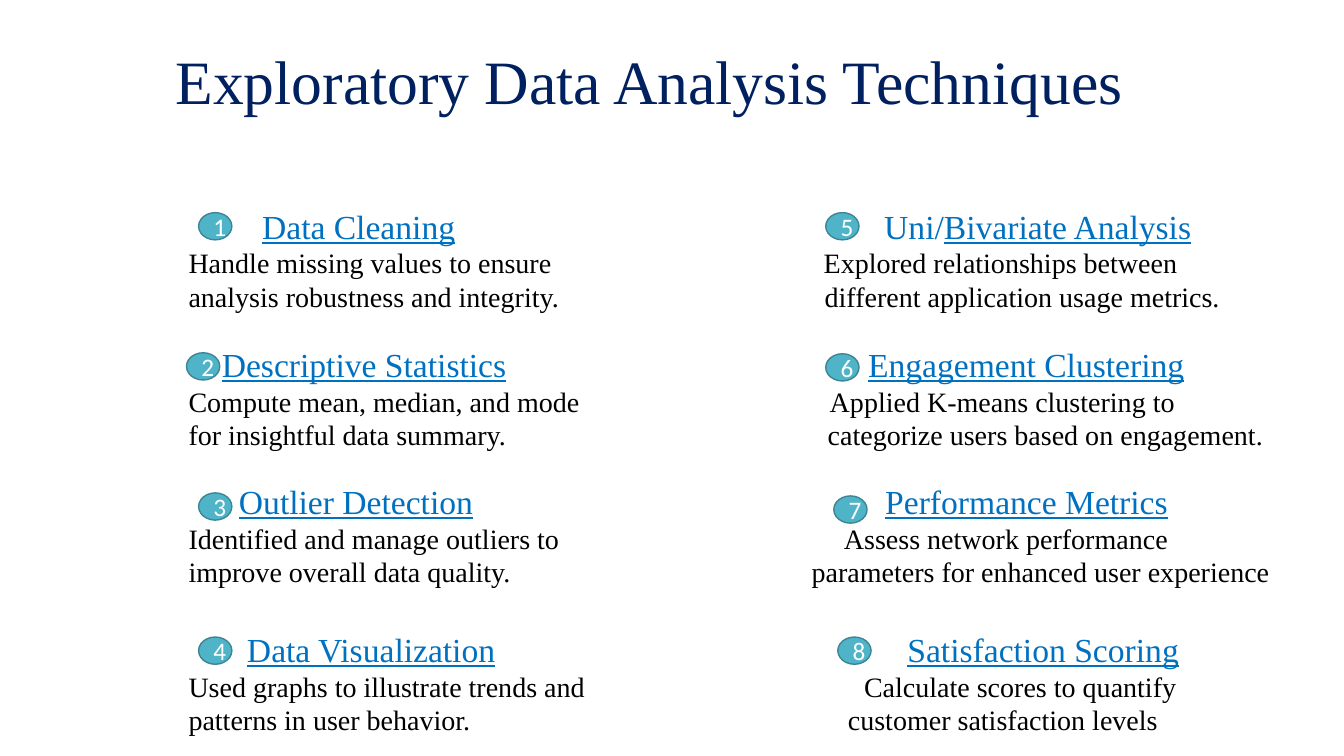
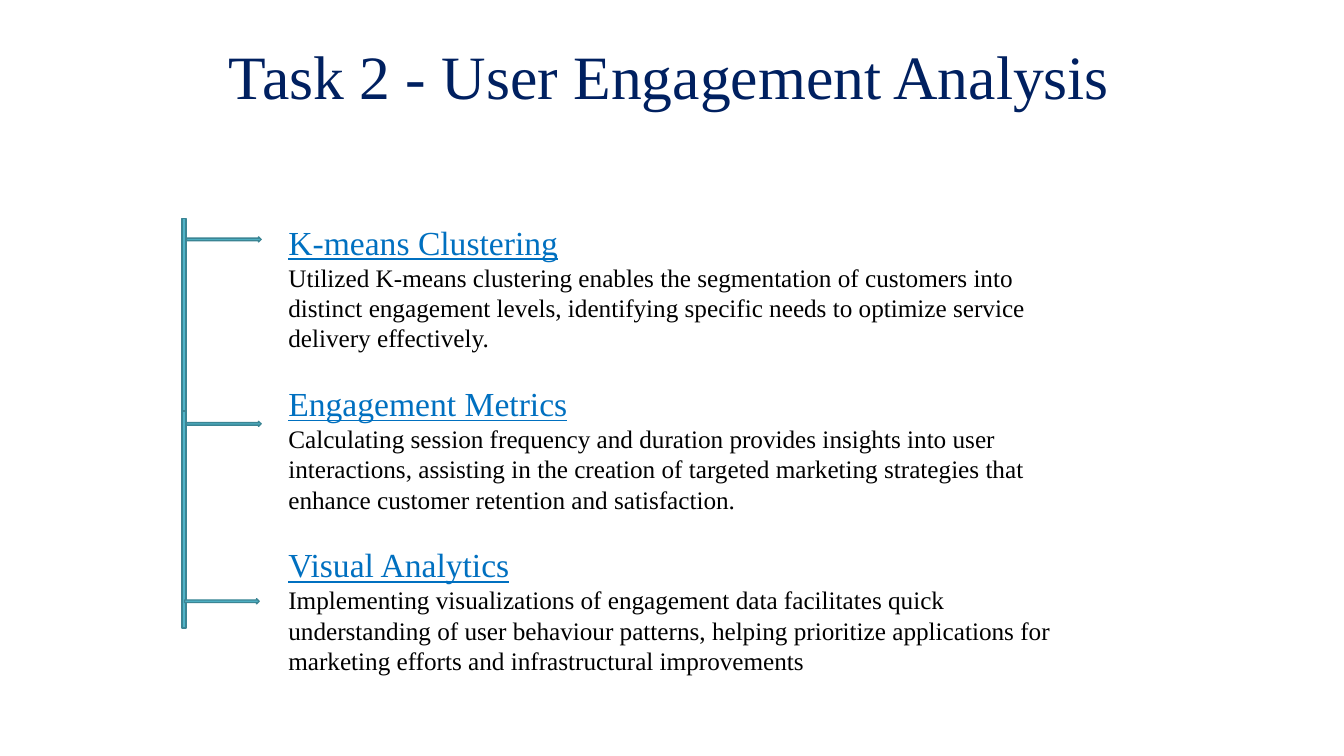
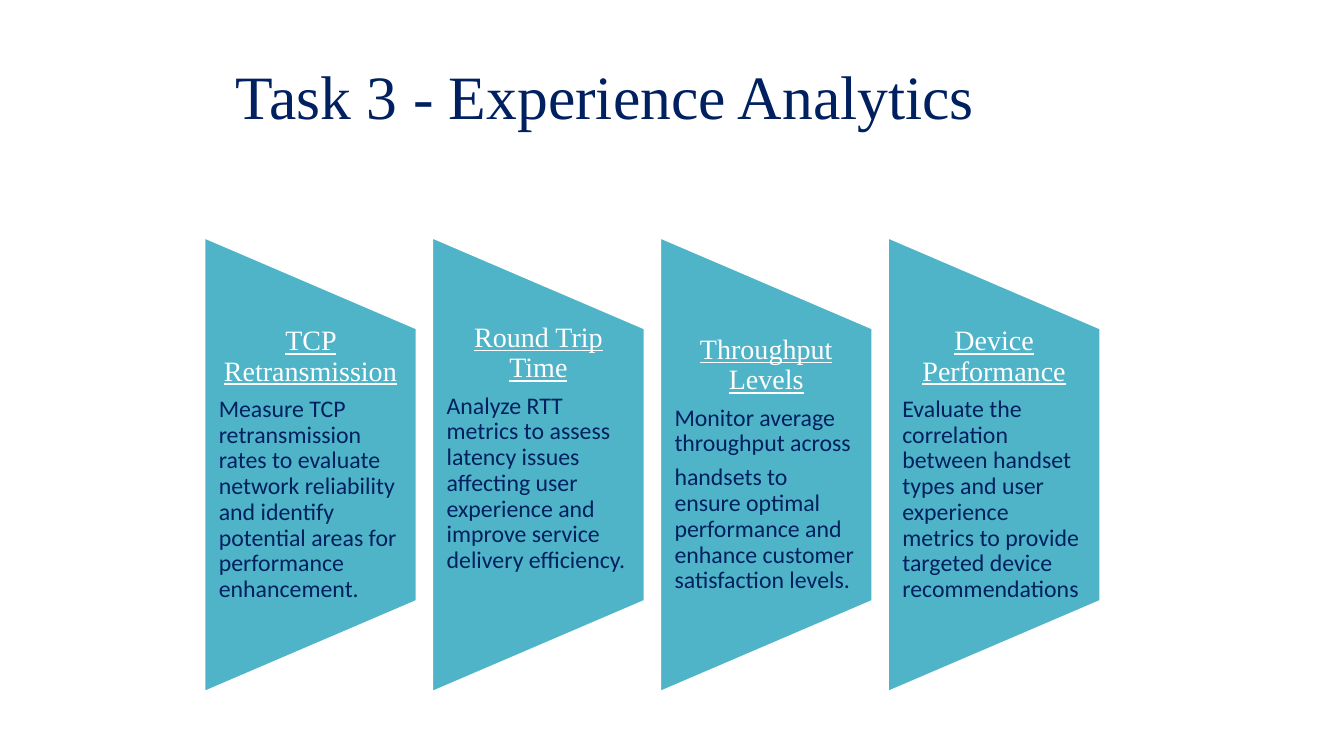
from pptx import Presentation
from pptx.dml.color import RGBColor
from pptx.enum import shapes, text
from pptx.util import Inches, Pt

COLORS = {"navy": "002060", "blue": "0070C0", "teal": "50B4C8",
          "dark_teal": "3B8594", "black": "000000", "white": "FFFFFF"}
SERIF, SANS = "Times New Roman", "Calibri"
SHAPE, ALIGN, ANCHOR = shapes.MSO_SHAPE, text.PP_ALIGN, text.MSO_ANCHOR

TITLE = dict(name=SERIF, size=44, color="navy")
HEADING = dict(name=SERIF, size=24, color="blue", underline=True)
DETAIL = dict(name=SERIF, size=20, color="black")
SMALL_DETAIL = dict(DETAIL, size=18)
BADGE = dict(name=SANS, size=18, color="white")
PANEL_HEADING = dict(name=SERIF, size=20, color="white", underline=True)
PANEL_DETAIL = dict(name=SANS, size=17, color="navy")

# Each topic: badge position, plain start of the heading, heading, detail lines,
# and the indents of heading and lines
LEFT_TOPICS = [
    ((1.97, 2.11), "", "Data Cleaning",
     ["Handle missing values to ensure", "analysis robustness and integrity."],
     (0.73, 0, 0)),
    ((1.85, 3.5), "", "Descriptive Statistics",
     ["Compute mean, median, and mode", "for insightful data summary."],
     (0.33, 0, 0)),
    ((1.97, 4.89), "", "Outlier Detection",
     ["Identified and manage outliers to", "improve overall data quality."],
     (0.5, 0, 0)),
    ((1.97, 6.32), "", "Data Visualization",
     ["Used graphs to illustrate trends and", "patterns in user behavior."],
     (0.58, 0, 0)),
]
RIGHT_TOPICS = [
    ((8.19, 2.11), "Uni/", "Bivariate Analysis",
     ["Explored relationships between", "different application usage metrics."],
     (0.72, 0.12, 0.13)),
    ((8.19, 3.51), "", "Engagement Clustering",
     ["Applied K-means clustering to", "categorize users based on engagement."],
     (0.56, 0.18, 0.16)),
    ((8.27, 4.92), "", "Performance Metrics",
     ["Assess network performance", "parameters for enhanced user experience"],
     (0.73, 0.32, 0)),
    ((8.31, 6.32), "", "Satisfaction Scoring",
     ["Calculate scores to quantify", "customer satisfaction levels"],
     (0.95, 0.52, 0.36)),
]
TOPIC_COLUMNS = [(1.87, LEFT_TOPICS), (8.05, RIGHT_TOPICS)]
TOPIC_TOPS = [2.04, 3.41, 4.77, 6.24]

ENGAGEMENT = [
    ("K-means Clustering",
     ["Utilized K-means clustering enables the segmentation of customers into",
      "distinct engagement levels, identifying specific needs to optimize service",
      "delivery effectively."]),
    ("Engagement Metrics",
     ["Calculating session frequency and duration provides insights into user",
      "interactions, assisting in the creation of targeted marketing strategies that",
      "enhance customer retention and satisfaction."]),
    ("Visual Analytics",
     ["Implementing visualizations of engagement data facilitates quick",
      "understanding of user behaviour patterns, helping prioritize applications for",
      "marketing efforts and infrastructural improvements"]),
]
BAR_TOPS = [-1.33, 0.58]
ARROWS = [(1.85, 2.35), (1.85, 4.18), (1.83, 5.94)]

# Each panel: heading, detail paragraphs, bottom inset
PANELS = [
    ("TCP Retransmission",
     ["Measure TCP retransmission rates to evaluate network reliability and "
      "identify potential areas for performance enhancement."], 0),
    ("Round Trip Time",
     ["Analyze RTT metrics to assess latency issues affecting user experience "
      "and improve service delivery efficiency."], 0.32),
    ("Throughput Levels",
     ["Monitor average throughput across",
      "handsets to ensure optimal performance and enhance customer "
      "satisfaction levels."], 0),
    ("Device Performance",
     ["Evaluate the correlation between handset types and user experience "
      "metrics to provide targeted device recommendations"], 0),
]
PANEL_LEFT, PANEL_STEP, PANEL_WIDTH, PANEL_HEIGHT = 2.03, 2.26, 2.1, 4.5
PANEL_MIDDLE, PANEL_TEXT_HEIGHT = 4.61, 2.7


def rgb(name):
    return RGBColor.from_string(COLORS[name])


def place(shape, *box):
    for side, length in zip(("left", "top", "width", "height"), box):
        setattr(shape, side, Inches(length))


def add_run(paragraph, words, style):
    run = paragraph.add_run()
    run.text = words
    run.font.color.rgb = rgb(style["color"])
    values = dict(name=style["name"], size=Pt(style["size"]),
                  underline=style.get("underline", False))
    for key, value in values.items():
        setattr(run.font, key, value)


def add_paragraph(frame, words, style, indent=0, **format_values):
    """Fill the first paragraph while it is empty, otherwise append one."""
    paragraph = frame.paragraphs[0]
    if paragraph.runs:
        paragraph = frame.add_paragraph()
    values = dict(alignment=ALIGN.LEFT, space_before=Pt(0), space_after=Pt(0))
    for key, value in {**values, **format_values}.items():
        setattr(paragraph, key, value)
    properties = paragraph._p.get_or_add_pPr()
    properties.set("marL", str(Inches(indent)))
    properties.set("indent", "0")
    if words:
        add_run(paragraph, words, style)
    return paragraph


def set_frame(frame, insets=(0.1, 0.05, 0.1, 0.05), anchor=ANCHOR.TOP):
    frame.word_wrap = True
    frame.auto_size = text.MSO_AUTO_SIZE.NONE
    frame.vertical_anchor = anchor
    for side, inset in zip(("left", "top", "right", "bottom"), insets):
        setattr(frame, "margin_" + side, Inches(inset))
    return frame


def add_text_box(slide, box, **frame_values):
    shape = slide.shapes.add_textbox(*map(Inches, box))
    return set_frame(shape.text_frame, **frame_values)


def add_shape(slide, kind, box, line="dark_teal"):
    shape = slide.shapes.add_shape(kind, *map(Inches, box))
    shape.shadow.inherit = False
    shape.fill.solid()
    shape.fill.fore_color.rgb = rgb("teal")
    shape.line.color.rgb = rgb(line)
    shape.line.width = Pt(1)
    return shape


def add_slide(presentation, layout_name, title, *title_box):
    layout = presentation.slide_layouts.get_by_name(layout_name)
    slide = presentation.slides.add_slide(layout)
    place(slide.shapes.title, *title_box)
    add_paragraph(set_frame(slide.shapes.title.text_frame), title, TITLE)
    return slide


def build_techniques(presentation):
    slide = add_slide(presentation, "Title Only",
                      "Exploratory Data Analysis Techniques", 1.64, 0.38, 9.84, 0.84)
    number = 0
    for left, topics in TOPIC_COLUMNS:
        for top, topic in zip(TOPIC_TOPS, topics):
            badge_place, start, heading, lines, indents = topic
            number += 1
            frame = add_text_box(slide, (left, top, 5, 1.07), insets=(0, 0, 0, 0))
            paragraph = add_paragraph(frame, start, dict(HEADING, underline=False),
                                      indents[0])
            add_run(paragraph, heading, HEADING)
            for line, indent in zip(lines, indents[1:]):
                add_paragraph(frame, line, DETAIL, indent)
            badge = add_shape(slide, SHAPE.OVAL, (*badge_place, 0.33, 0.27))
            frame = set_frame(badge.text_frame, anchor=ANCHOR.MIDDLE)
            add_paragraph(frame, str(number), BADGE, alignment=ALIGN.CENTER)


def build_engagement(presentation):
    slide = add_slide(presentation, "Title and Content",
                      "Task 2 - User Engagement Analysis", 2.17, 0.33, 10.4, 0.84)
    body = slide.placeholders[1]
    place(body, 2.76, 2.15, 9.36, 4.64)
    frame = set_frame(body.text_frame)
    for index, (heading, lines) in enumerate(ENGAGEMENT):
        paragraphs = [add_paragraph(frame, heading, HEADING,
                                    space_before=Pt(21.6 if index else 0))]
        paragraphs += [add_paragraph(frame, line, SMALL_DETAIL) for line in lines]
        for paragraph in paragraphs:
            properties = paragraph._p.get_or_add_pPr()
            properties.append(properties.makeelement(
                "{http://schemas.openxmlformats.org/drawingml/2006/main}buNone", {}))
    for top in BAR_TOPS:
        add_shape(slide, SHAPE.MATH_MINUS, (1.8, top, 0.05, 9.15))
    for left, top in ARROWS:
        add_shape(slide, SHAPE.RIGHT_ARROW, (left, top, 0.74, 0.05))


def build_experience(presentation):
    slide = add_slide(presentation, "Title Only",
                      "Task 3 - Experience Analytics", 2.24, 0.52, 8.12, 0.84)
    for index, (heading, details, bottom_inset) in enumerate(PANELS):
        left = PANEL_LEFT + index * PANEL_STEP
        # The panel is turned on its side, so its unturned box is wide and low
        panel = add_shape(slide, SHAPE.FLOWCHART_MANUAL_OPERATION,
                          (left + (PANEL_WIDTH - PANEL_HEIGHT) / 2,
                           PANEL_MIDDLE - PANEL_WIDTH / 2,
                           PANEL_HEIGHT, PANEL_WIDTH), line="white")
        panel.rotation = 270
        frame = add_text_box(slide, (left, PANEL_MIDDLE - PANEL_TEXT_HEIGHT / 2,
                                     PANEL_WIDTH, PANEL_TEXT_HEIGHT),
                             insets=(0.14, 0, 0.14, bottom_inset),
                             anchor=ANCHOR.MIDDLE)
        add_paragraph(frame, heading, PANEL_HEADING, alignment=ALIGN.CENTER,
                      line_spacing=0.9, space_after=Pt(7))
        for detail in details:
            add_paragraph(frame, detail, PANEL_DETAIL,
                          line_spacing=0.9, space_after=Pt(6))


def main():
    presentation = Presentation()
    presentation.slide_width = Inches(13.33)
    presentation.slide_height = Inches(7.5)
    for build in (build_techniques, build_engagement, build_experience):
        build(presentation)
    presentation.save("out.pptx")


if __name__ == "__main__":
    main()
